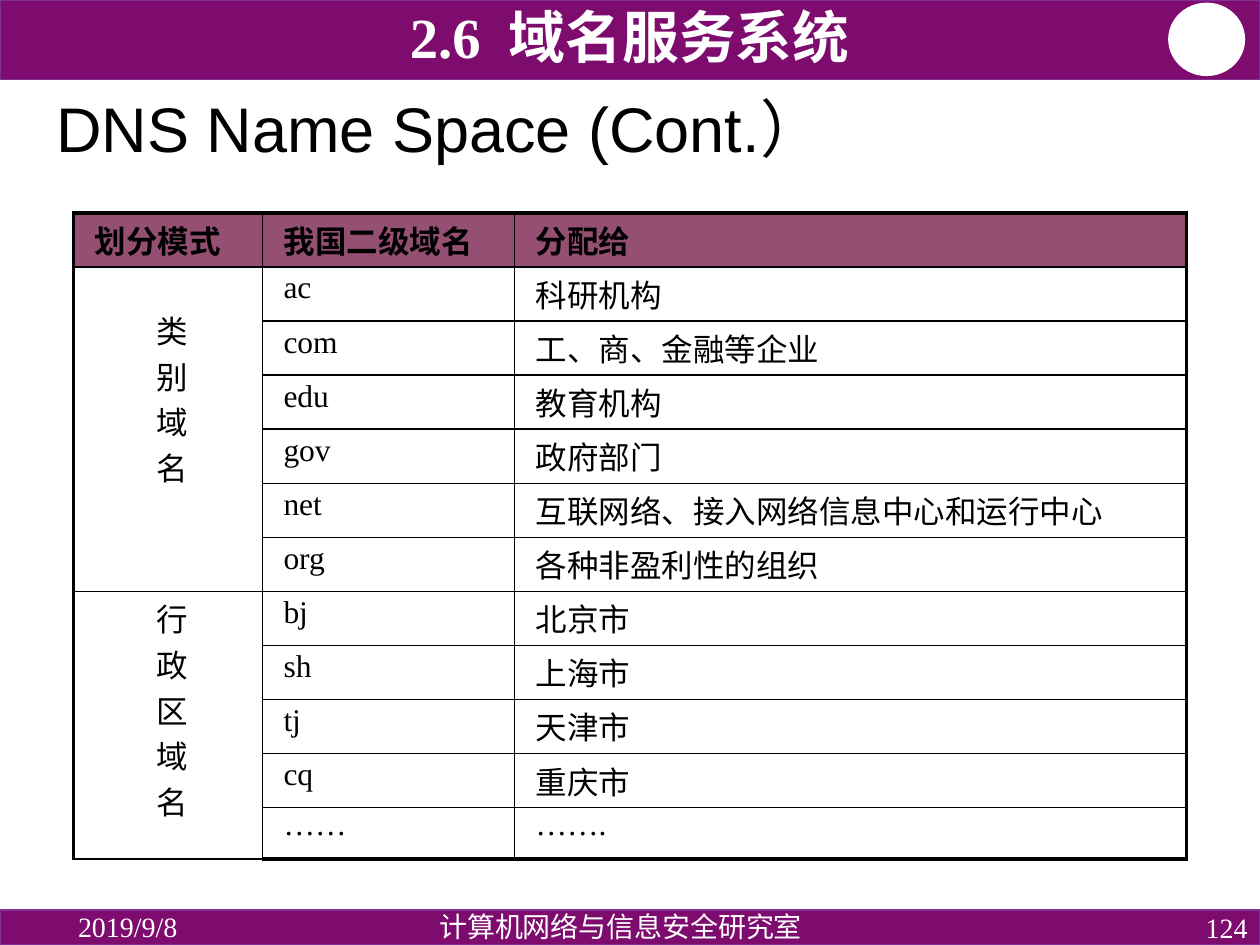
from dataclasses import dataclass
from typing import Optional

from lxml.etree import SubElement
from pptx import Presentation
from pptx.dml.color import RGBColor
from pptx.enum.shapes import MSO_SHAPE as Shape
from pptx.enum.text import MSO_ANCHOR as Anchor, MSO_AUTO_SIZE as AutoSize, PP_ALIGN as Align
from pptx.oxml.ns import qn
from pptx.util import Pt

PURPLE = RGBColor(0x7E, 0x0C, 0x6E)
PURPLE_EDGE = RGBColor(0x7F, 0x2F, 0x95)
PLUM = RGBColor(0x95, 0x4F, 0x72)
WHITE = RGBColor(0xFF, 0xFF, 0xFF)
BLACK = RGBColor(0, 0, 0)
SERIF, SANS, CHINESE = "Times New Roman", "Arial", "Noto Sans CJK SC"


@dataclass
class Box:
    left: float
    top: float
    width: float
    height: float

    def lengths(self) -> tuple:
        return Pt(self.left), Pt(self.top), Pt(self.width), Pt(self.height)


@dataclass
class Style:
    size: float
    color: RGBColor = BLACK
    font: str = SERIF
    east_asian: str = CHINESE
    bold: bool = False
    align: Align = Align.LEFT
    line_spacing: Optional[float] = None


@dataclass
class Decoration:
    preset: Shape
    box: Box
    fill: RGBColor
    line: RGBColor


@dataclass
class Label:
    text: str
    box: Box
    style: Style
    anchor: Anchor = Anchor.MIDDLE


@dataclass
class DomainGroup:
    name: str
    top_inset: float
    domains: list


DECORATIONS = [
    Decoration(Shape.RECTANGLE, Box(0, 0, 720, 45.5), PURPLE, PURPLE_EDGE),
    Decoration(Shape.OVAL, Box(668, 2, 43, 41), WHITE, WHITE),
    Decoration(Shape.RECTANGLE, Box(0, 520, 720, 20), PURPLE, PURPLE_EDGE),
]
LABELS = [
    Label("2019/9/8", Box(37.5, 520, 162, 19), Style(16, WHITE)),
    Label("124", Box(558, 520, 162, 20), Style(16, WHITE, align=Align.RIGHT)),
    Label("计算机网络与信息安全研究室", Box(193.5, 518.5, 322.5, 20),
          Style(16, WHITE, align=Align.CENTER, line_spacing=0.9), Anchor.TOP),
]
HEADERS = ["划分模式", "我国二级域名", "分配给"]
GROUPS = [
    DomainGroup("类别域名", 23, [
        ("ac", "科研机构"), ("com", "工、商、金融等企业"), ("edu", "教育机构"),
        ("gov", "政府部门"), ("net", "互联网络、接入网络信息中心和运行中心"),
        ("org", "各种非盈利性的组织")]),
    DomainGroup("行政区域名", 2.2, [
        ("bj", "北京市"), ("sh", "上海市"), ("tj", "天津市"), ("cq", "重庆市"),
        ("……", "…….")]),
]
COLUMN_WIDTHS = [108, 144, 384]
ROW_HEIGHT, LAST_ROW_HEIGHT = 30.9, 29.2
THIN, THICK = 1, 2.25


def format_paragraph(paragraph, style: Style) -> None:
    paragraph.alignment = style.align
    if style.line_spacing:
        paragraph.line_spacing = style.line_spacing
    font = paragraph.font
    font.size, font.bold, font.name = Pt(style.size), style.bold, style.font
    font.color.rgb = style.color
    properties = paragraph._p.pPr.find(qn("a:defRPr"))
    SubElement(properties, qn("a:ea"), typeface=style.east_asian)


def add_decoration(slide, item: Decoration) -> None:
    shape = slide.shapes.add_shape(item.preset, *item.box.lengths())
    shape.shadow.inherit = False
    shape.fill.solid()
    shape.fill.fore_color.rgb = item.fill
    shape.line.color.rgb = item.line
    shape.line.width = Pt(1)


def add_label(slide, label: Label):
    frame = slide.shapes.add_textbox(*label.box.lengths()).text_frame
    frame.word_wrap = True
    frame.vertical_anchor = label.anchor
    paragraph = frame.paragraphs[0]
    paragraph.text = label.text
    format_paragraph(paragraph, label.style)
    return paragraph


def add_chapter_heading(slide) -> None:
    style = Style(32.4, WHITE, bold=True, align=Align.CENTER, line_spacing=0.8)
    paragraph = add_label(slide, Label("2.6", Box(52, 3, 615.5, 40), style, Anchor.BOTTOM))
    gap = paragraph.add_run()
    gap.text = " "
    gap.font._element.set("spc", "800")  # widens the gap after the number
    paragraph.add_run().text = "域名服务系统"


def set_title(slide, text: str) -> None:
    title = slide.shapes.title
    title.left, title.top, title.width, title.height = Box(25, 48, 646.5, 55).lengths()
    frame = title.text_frame
    frame.text = text
    frame.auto_size = AutoSize.NONE
    frame.vertical_anchor = Anchor.MIDDLE
    format_paragraph(frame.paragraphs[0], Style(36, font=SANS, line_spacing=0.9))


def set_borders(cell, widths: dict) -> None:
    properties = cell._tc.get_or_add_tcPr()
    for side in "LRTB":
        line = SubElement(properties, qn(f"a:ln{side}"), w=str(Pt(widths[side])))
        fill = SubElement(line, qn("a:solidFill"))
        SubElement(fill, qn("a:srgbClr"), val=str(BLACK))


def fill_cell(cell, lines: list, style: Style, top_inset: float = 2.2) -> None:
    cell.margin_left, cell.margin_right = Pt(12), Pt(7.2)
    cell.margin_top, cell.margin_bottom = Pt(top_inset), Pt(2.2)
    frame = cell.text_frame
    frame.text = "\n".join(lines)
    for paragraph in frame.paragraphs:
        format_paragraph(paragraph, style)


def add_domain_table(slide) -> None:
    row_count = 1 + sum(len(group.domains) for group in GROUPS)
    heights = [ROW_HEIGHT] * (row_count - 1) + [LAST_ROW_HEIGHT]
    box = Box(42, 121.7, sum(COLUMN_WIDTHS), sum(heights))
    table = slide.shapes.add_table(row_count, len(HEADERS), *box.lengths()).table
    table.first_row = table.horz_banding = False
    for column, width in zip(table.columns, COLUMN_WIDTHS):
        column.width = Pt(width)
    last_row, last_column = row_count - 1, len(HEADERS) - 1
    for r, (row, height) in enumerate(zip(table.rows, heights)):
        row.height = Pt(height)
        for c, cell in enumerate(row.cells):
            edges = {"L": c == 0, "R": c == last_column, "T": r == 0, "B": r == last_row}
            set_borders(cell, {side: THICK if outer else THIN for side, outer in edges.items()})
            cell.fill.solid()
            cell.fill.fore_color.rgb = WHITE if r else PLUM
    for c, header in enumerate(HEADERS):
        fill_cell(table.cell(0, c), [header], Style(18, bold=True))

    latin = Style(18, east_asian=SERIF)
    chinese = Style(18, font=CHINESE)
    r = 1
    for group in GROUPS:
        first = table.cell(r, 0)
        first.merge(table.cell(r + len(group.domains) - 1, 0))
        fill_cell(first, list(group.name), Style(18, align=Align.CENTER), group.top_inset)
        for domain, owner in group.domains:
            top_inset = 0 if r == last_row else 2.2
            fill_cell(table.cell(r, 1), [domain], latin, top_inset)
            fill_cell(table.cell(r, 2), [owner], latin if r == last_row else chinese, top_inset)
            r += 1


def main() -> None:
    presentation = Presentation()
    presentation.slide_width, presentation.slide_height = Pt(720), Pt(540)
    slide = presentation.slides.add_slide(presentation.slide_layouts[5])
    for item in DECORATIONS:
        add_decoration(slide, item)
    for label in LABELS:
        add_label(slide, label)
    set_title(slide, "DNS Name Space (Cont.）")
    add_domain_table(slide)
    add_chapter_heading(slide)
    presentation.save("out.pptx")


if __name__ == "__main__":
    main()
